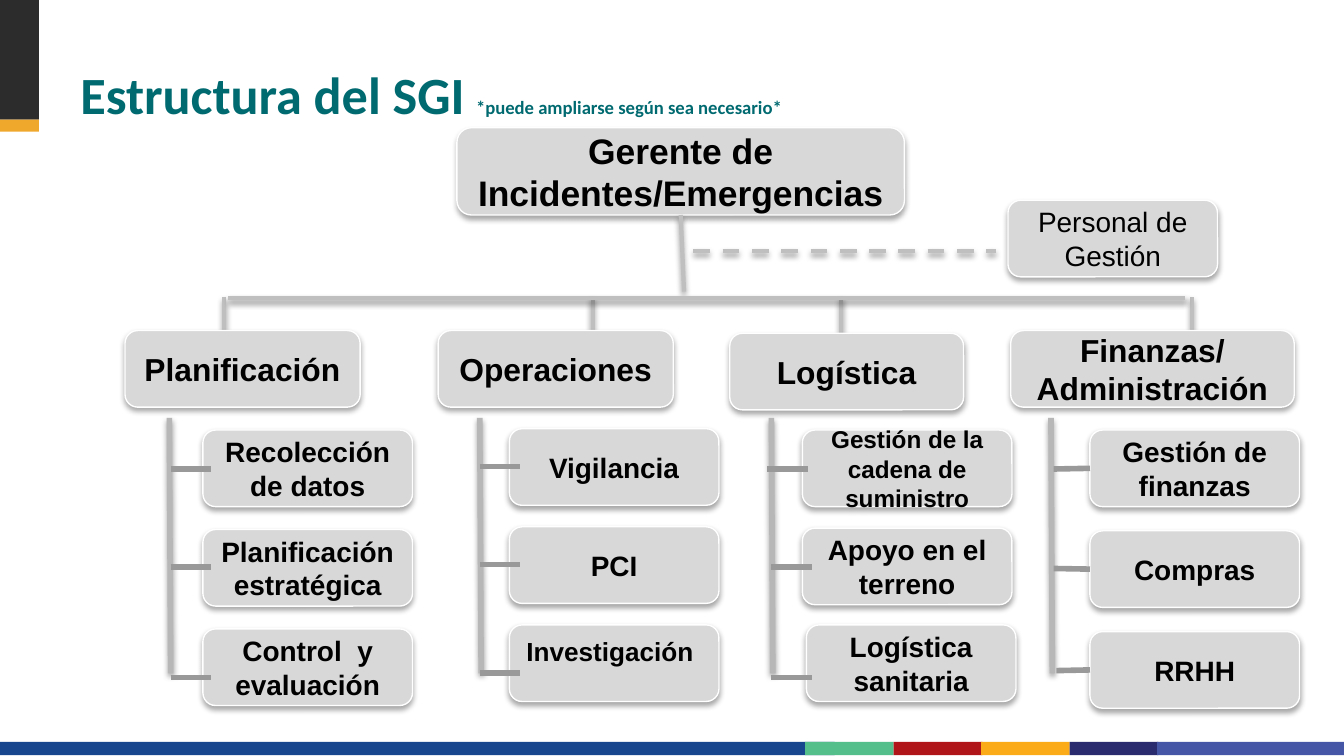
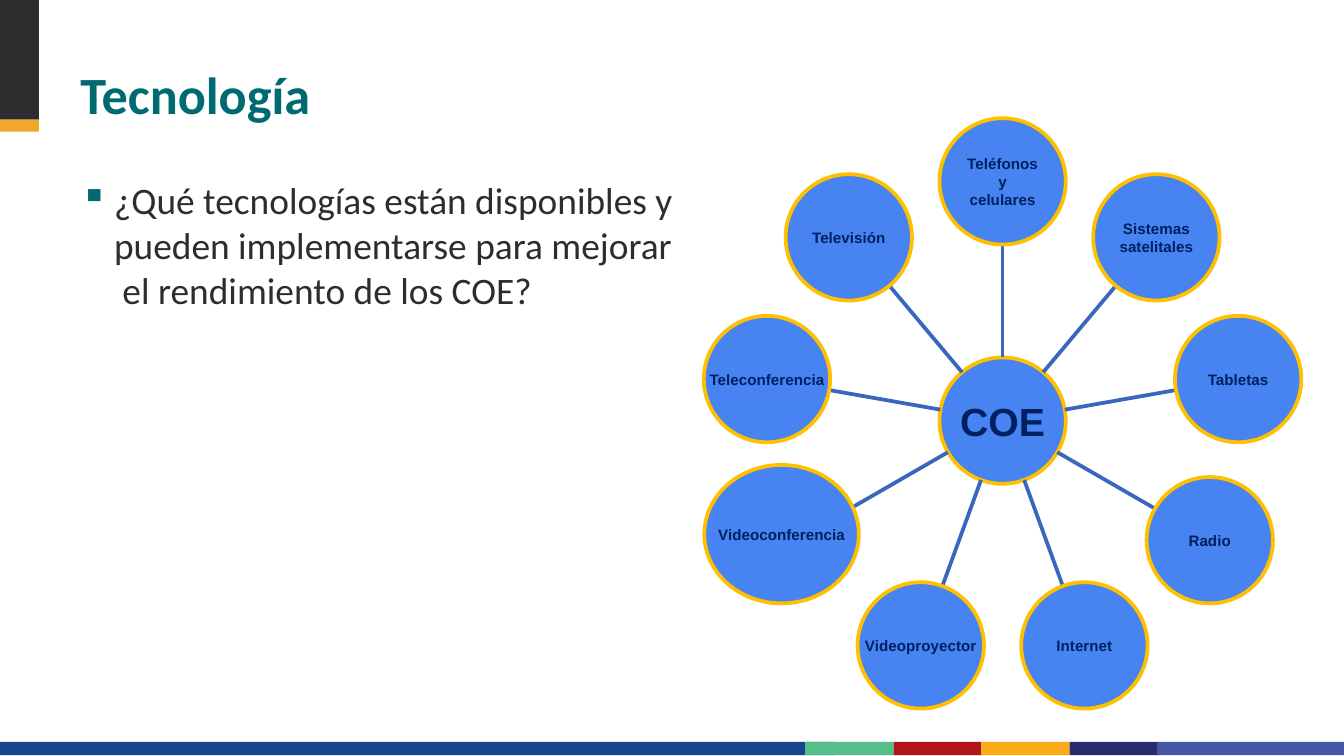
from math import cos, radians, sin

from lxml import etree
from pptx import Presentation
from pptx.dml.color import RGBColor
from pptx.enum.dml import MSO_LINE
from pptx.enum.shapes import MSO_CONNECTOR, MSO_SHAPE
from pptx.enum.text import MSO_ANCHOR, PP_ALIGN
from pptx.oxml.ns import qn
from pptx.util import Pt

PX = 9144
RECT, ROUND, OVAL = MSO_SHAPE.RECTANGLE, MSO_SHAPE.ROUNDED_RECTANGLE, MSO_SHAPE.OVAL
STRAIGHT, DASH = MSO_CONNECTOR.STRAIGHT, MSO_LINE.DASH
LEFT, CENTER = PP_ALIGN.LEFT, PP_ALIGN.CENTER
TOP, MIDDLE, BOTTOM = MSO_ANCHOR.TOP, MSO_ANCHOR.MIDDLE, MSO_ANCHOR.BOTTOM

BLACK = RGBColor(0x00, 0x00, 0x00)
WHITE = RGBColor(0xFF, 0xFF, 0xFF)
TEAL = RGBColor(0x00, 0x6A, 0x71)
INK = RGBColor(0x2D, 0x2D, 0x2D)
COAL = RGBColor(0x2D, 0x2C, 0x2C)
AMBER = RGBColor(0xF0, 0xA8, 0x2C)
ROYAL = RGBColor(0x17, 0x46, 0x8F)
GREEN = RGBColor(0x55, 0xBF, 0x8B)
RED = RGBColor(0xB0, 0x15, 0x19)
YELLOW = RGBColor(0xFB, 0xAB, 0x18)
NAVY = RGBColor(0x29, 0x2B, 0x6E)
VIOLET = RGBColor(0x46, 0x56, 0xA6)
CARD = RGBColor(0xD8, 0xD8, 0xD8)
TRUNK = RGBColor(0xBF, 0xBF, 0xBF)
RAIL = RGBColor(0xB7, 0xB7, 0xB7)
TICK = RGBColor(0x99, 0x99, 0x99)
BLUE = RGBColor(0x47, 0x83, 0xF1)
GOLD = RGBColor(0xFF, 0xC0, 0x00)
SPOKE = RGBColor(0x38, 0x67, 0xBD)
DEEP = RGBColor(0x00, 0x20, 0x60)


def put(page, kind, box, text="", size=15, font="Arial", tint=BLACK, bold=True,
        fill=None, edge=None, thick=0.75, align=CENTER, anchor=MIDDLE,
        pad=(10, 5), wrap=True):
    place = [round(n * PX) for n in box]
    if kind is None:
        item = page.shapes.add_textbox(*place)
    else:
        item = page.shapes.add_shape(kind, *place)
        item.shadow.inherit = False
        item.fill.solid()
        item.fill.fore_color.rgb = fill
        if edge is None:
            item.line.fill.background()
        else:
            item.line.color.rgb = edge
            item.line.width = Pt(thick)
    if text:
        frame = item.text_frame
        frame.text = text
        frame.word_wrap = wrap
        frame.vertical_anchor = anchor
        frame.margin_left = frame.margin_right = pad[0] * PX
        frame.margin_top = frame.margin_bottom = pad[1] * PX
        for para in frame.paragraphs:
            para.alignment = align
            for run in para.runs:
                run.font.size = Pt(size)
                run.font.name = font
                run.font.bold = bold
                run.font.color.rgb = tint
    return item


def link(page, ends, tint, thick):
    wire = page.shapes.add_connector(STRAIGHT, *[round(n * PX) for n in ends])
    wire.line.color.rgb = tint
    wire.line.width = Pt(thick)
    etree.SubElement(wire._element.spPr, qn("a:effectLst"))
    return wire


deck = Presentation()
deck.slide_width, deck.slide_height = 1000 * PX, 5143500

BANDS = [
    ((0, 552, 621, 10), ROYAL),
    ((599, 552, 66, 10), GREEN),
    ((665, 552, 66, 10), RED),
    ((730, 552, 66, 10), YELLOW),
    ((796, 552, 66, 10), NAVY),
    ((861, 552, 139, 10), VIOLET),
    ((0, 0, 29, 89), COAL),
    ((0, 89, 29, 9), AMBER),
]
pages, heads = [], []
for title in ("Estructura del SGI ", "Tecnología"):
    page = deck.slides.add_slide(deck.slide_layouts[6])
    for box, fill in BANDS:
        put(page, RECT, box, fill=fill)
    head = put(page, None, (50, 23, 900, 75), title, size=28, font="Calibri",
               tint=TEAL, align=LEFT, anchor=BOTTOM)
    head.text_frame.paragraphs[0].line_spacing = 1.07
    pages.append(page)
    heads.append(head)
chart, tech = pages

note = heads[0].text_frame.paragraphs[0].add_run()
note.text = "*puede ampliarse según sea necesario*"
note.font.size = Pt(10)
note.font.name = "Calibri"
note.font.bold = True
note.font.color.rgb = TEAL

style = dict(fill=CARD, edge=WHITE)
wires = [link(chart, (x, 221, x, 249), TRUNK, 2.25) for x in (167, 441, 626, 887)]
boss = put(chart, ROUND, (340, 95, 333, 65), "Gerente de Incidentes/Emergencias",
           size=19, **style)
trunk = link(chart, (507, 160, 509, 217), TRUNK, 2.25)
trunk.begin_connect(boss, 2)
beam = link(chart, (170, 222, 882, 222), TRUNK, 2.25)
side = link(chart, (516, 187, 741, 187), TRUNK, 2.25)
side.line.dash_style = DASH
wires += [trunk, beam, side]
staff = put(chart, ROUND, (750, 149, 156, 57), "Personal de Gestión", bold=False, **style)
cards = [boss, staff]

AREAS = [
    ("Planificación", (93, 246, 175, 57), 126, False, [
        ("Recolección de datos", 151, 320, 127, 349),
        ("Planificación estratégica", 151, 394, 127, 422),
        ("Control  y evaluación", 151, 468, 127, 504)]),
    ("Operaciones", (326, 246, 175, 57), 357, False, [
        ("Vigilancia", 379, 319, 357, 347),
        ("PCI", 379, 392, 357, 420),
        ("Investigación", 379, 465, 357, 501)]),
    ("Logística", (543, 248, 174, 57), 574, False, [
        ("Gestión de la cadena de suministro", 597, 320, 571, 349),
        ("Apoyo en el terreno", 597, 393, 574, 422),
        ("Logística sanitaria", 600, 465, 574, 504)]),
    ("Finanzas/\nAdministración", (752, 246, 211, 57), 782, True, [
        ("Gestión de finanzas", 811, 320, 784, 349),
        ("Compras", 811, 395, 784, 423),
        ("RRHH", 811, 470, 786, 499)]),
]
SPECIAL = {
    "Investigación": dict(size=14, align=LEFT, anchor=TOP),
    "Gestión de la cadena de suministro": dict(size=13),
}
for area, box, rail, glued, units in AREAS:
    cards.append(put(chart, ROUND, box, area, size=17, **style))
    wires.append(link(chart, (rail + 1, 501, rail, 311), RAIL, 3))
    for unit, x, y, start, level in units:
        card = put(chart, ROUND, (x, y, 156, 57), unit, **style, **SPECIAL.get(unit, {}))
        cards.append(card)
        tick = link(chart, (start, level, start + 30, level), TICK, 3)
        if glued:
            tick.end_connect(card, 1)

for group, alpha, drop in ((cards, 35, 1.8), (wires, 38, 1.6)):
    for item in group:
        glow = etree.SubElement(item._element.spPr.find(qn("a:effectLst")),
                                qn("a:outerShdw"), blurRad=str(Pt(3.1)),
                                dist=str(Pt(drop)), dir="5400000", rotWithShape="0")
        shade = etree.SubElement(glow, qn("a:srgbClr"), val=str(BLACK))
        etree.SubElement(shade, qn("a:alpha"), val=str(alpha * 1000))

ask = put(tech, None, (50, 127, 892, 365),
          "¿Qué tecnologías están disponibles y \vpueden implementarse para mejorar"
          "\v el rendimiento de los COE?",
          size=20, font="Calibri", tint=INK, bold=False, align=LEFT, anchor=TOP)
props = ask.text_frame.paragraphs[0]._p.get_or_add_pPr()
props.set("marL", str(25 * PX))
props.set("indent", str(-25 * PX))
etree.SubElement(etree.SubElement(props, qn("a:buClr")), qn("a:srgbClr"), val=str(TEAL))
etree.SubElement(props, qn("a:buChar"), char="▪")

MIDX, MIDY, ORBIT, DISC = 746, 313, 178, 94
TOOLS = ["Teléfonos\ny\ncelulares", "Sistemas\nsatelitales", "Tabletas", "Radio",
         "Internet", "Videoproyector", "Videoconferencia", "Teleconferencia",
         "Televisión"]
WIDE = {"Videoconferencia": (524, 346, 115, 103)}
look = dict(tint=DEEP, fill=BLUE, edge=GOLD, thick=2, pad=(1, 1), wrap=False)
put(tech, OVAL, (MIDX - DISC / 2, MIDY - DISC / 2, DISC, DISC), "COE", size=21, **look)
for i, tool in enumerate(TOOLS):
    turn = radians(360 / len(TOOLS) * i)
    dx, dy = sin(turn), -cos(turn)
    near, far = DISC / 2, ORBIT - DISC / 2
    link(tech, (MIDX + near * dx, MIDY + near * dy, MIDX + far * dx, MIDY + far * dy),
         SPOKE, 2)
    disc = (MIDX + ORBIT * dx - near, MIDY + ORBIT * dy - near, DISC, DISC)
    put(tech, OVAL, WIDE.get(tool, disc), tool, size=8.1, **look)

deck.save("out.pptx")
